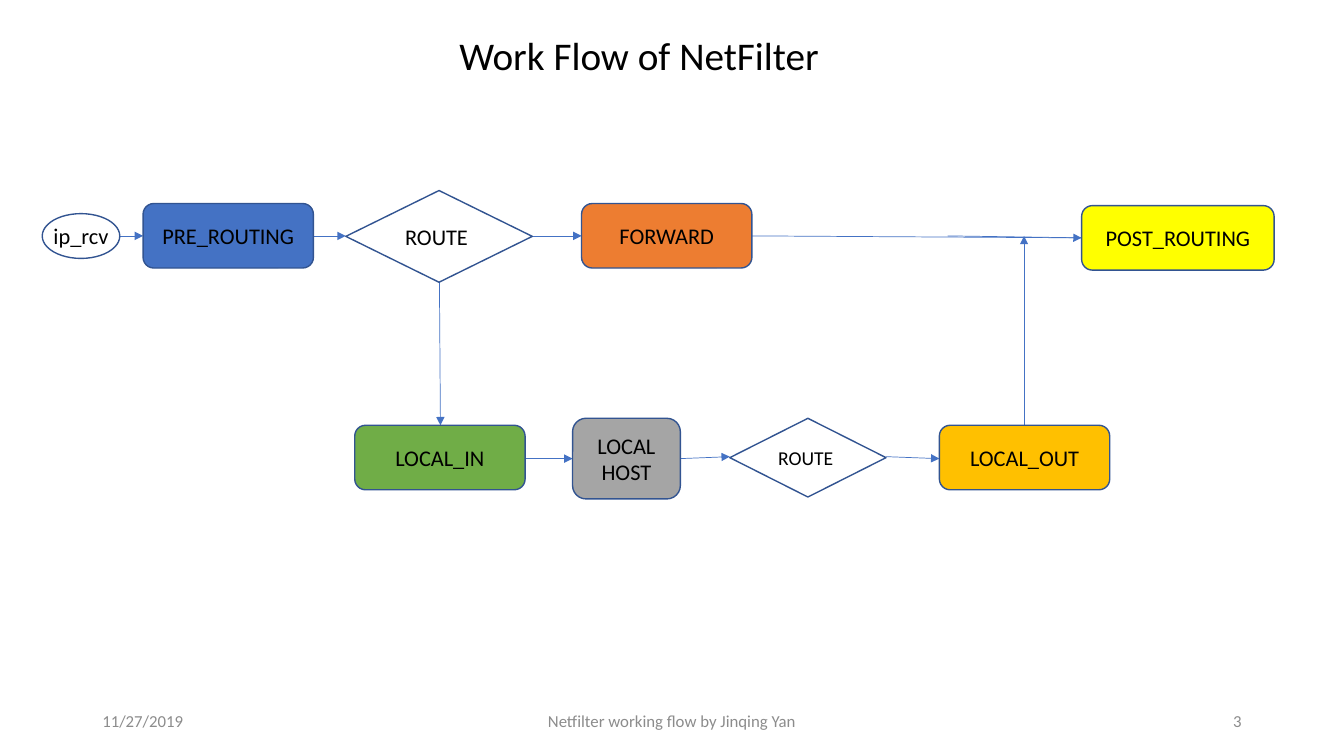
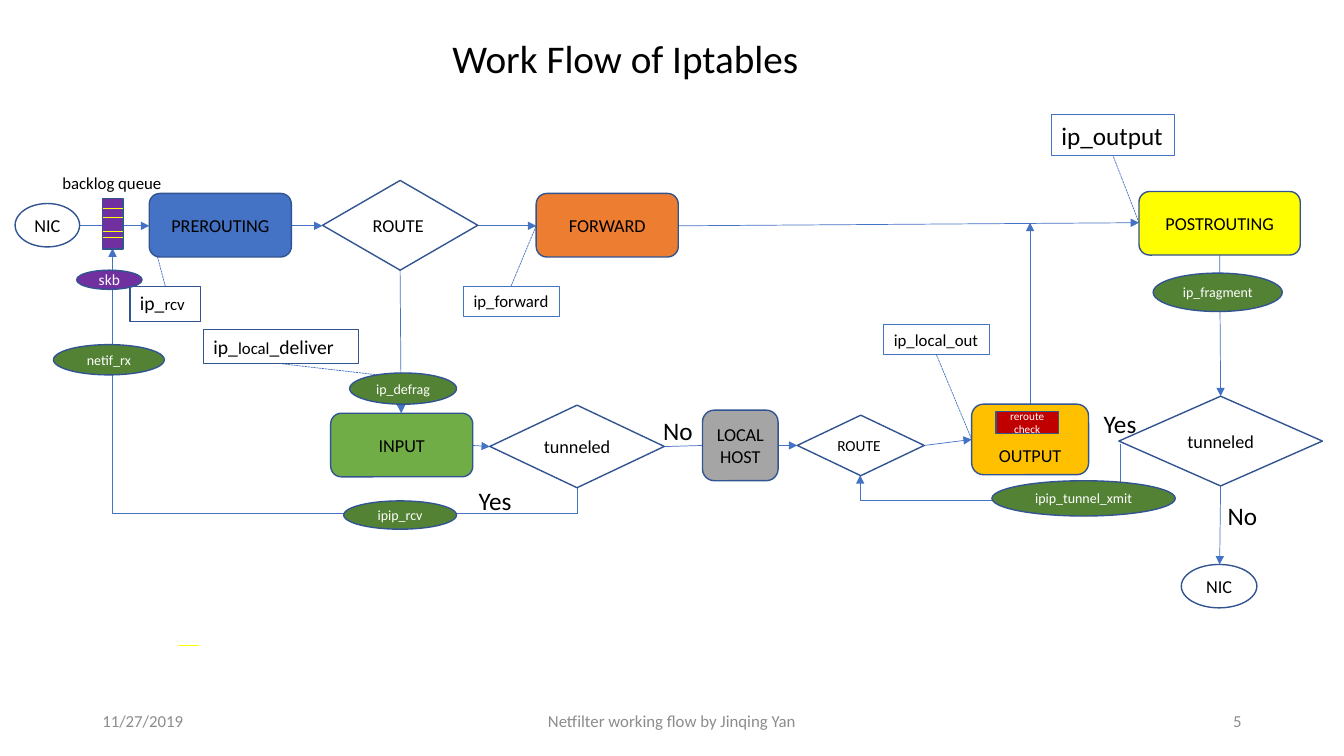
from pptx import Presentation
from pptx.dml.color import RGBColor
from pptx.enum.dml import MSO_LINE
from pptx.enum.shapes import MSO_CONNECTOR as LINK, MSO_SHAPE as FORM
from pptx.enum.text import MSO_ANCHOR as ANCHOR, PP_ALIGN as ALIGN
from pptx.oxml.ns import qn
from pptx.util import Pt
from lxml import etree

BLACK = RGBColor(0x00, 0x00, 0x00)
WHITE = RGBColor(0xFF, 0xFF, 0xFF)
GRAY_TEXT = RGBColor(0x8C, 0x8C, 0x8C)
OUTLINE = RGBColor(0x32, 0x54, 0x91)
BLUE = RGBColor(0x44, 0x72, 0xC4)
GREEN = RGBColor(0x70, 0xAD, 0x47)
ORANGE = RGBColor(0xED, 0x7D, 0x31)
GOLD = RGBColor(0xFF, 0xC0, 0x00)
YELLOW = RGBColor(0xFF, 0xFF, 0x00)
GRAY = RGBColor(0xA5, 0xA5, 0xA5)
DARK_GREEN = RGBColor(0x54, 0x82, 0x35)
PURPLE = RGBColor(0x70, 0x30, 0xA0)
RED = RGBColor(0xC0, 0x00, 0x00)
FONT = "Calibri"


def add_box(page, form, frame, spans, fill=None, color=BLACK, outline=OUTLINE,
            weight=1, align=ALIGN.CENTER, anchor=ANCHOR.MIDDLE, wrap=True):
    """Add a shape, or a text box when form is None; spans are (text, size)."""
    place = [Pt(value) for value in frame]
    if form is None:
        box = page.shapes.add_textbox(*place)
    else:
        box = page.shapes.add_shape(form, *place)
        box.shadow.inherit = False
        box.line.color.rgb = outline
        box.line.width = Pt(weight)
        if fill is None:
            box.fill.background()
        else:
            box.fill.solid()
            box.fill.fore_color.rgb = fill
    box.text_frame.word_wrap = wrap
    box.text_frame.vertical_anchor = anchor
    para = box.text_frame.paragraphs[0]
    para.alignment = align
    for text, size in spans:
        span = para.add_run()
        span.text = text
        span.font.name = FONT
        span.font.size = Pt(size)
        span.font.color.rgb = color


def add_line(page, ends, arrow=True, color=BLUE, dash=None, bend=None):
    """Add a connector; bend turns it into an elbow rotated by 90 degrees."""
    kind = LINK.STRAIGHT if bend is None else LINK.ELBOW
    link = page.shapes.add_connector(kind, *[Pt(value) for value in ends])
    link.line.color.rgb = color
    link.line.width = Pt(0.5)
    if dash:
        link.line.dash_style = dash
    props = link.element.spPr
    if arrow:
        etree.SubElement(props.find(qn("a:ln")), qn("a:tailEnd"), type="triangle")
    etree.SubElement(props, qn("a:effectLst"))
    if bend is not None:
        props.find(qn("a:xfrm")).set("rot", "5400000")
        guides = props.find(qn("a:prstGeom")).find(qn("a:avLst"))
        etree.SubElement(guides, qn("a:gd"), name="adj1", fmla=f"val {bend}")


deck = Presentation()
deck.slide_width, deck.slide_height = Pt(960), Pt(540)

# Title and footer of both slides
pages = []
for title, left, top, number in [("Work Flow of NetFilter", 321.1, 18.7, "3"),
                                 ("Work Flow of Iptables", 316.1, 20.9, "5")]:
    page = deck.slides.add_slide(deck.slide_layouts[6])
    add_box(page, None, (left, top, 520, 41), [(title, 28)],
            align=ALIGN.LEFT, anchor=ANCHOR.TOP)
    for text, foot_left, width, align in [
            ("11/27/2019", 66, 216, ALIGN.LEFT),
            ("Netfilter working flow by Jinqing Yan", 318, 324, ALIGN.CENTER),
            (number, 678, 216, ALIGN.RIGHT)]:
        add_box(page, None, (foot_left, 500.5, width, 28.8), [(text, 12)],
                color=GRAY_TEXT, align=align)
    pages.append(page)
netfilter, iptables = pages

# Netfilter: arrows
for ends in [(85.7, 168.5, 102.2, 168.5), (223.2, 168.5, 247, 168.5),
             (380.2, 168.5, 415.4, 168.5), (536.4, 168.5, 772.6, 169.9),
             (313.9, 201.6, 314.6, 303.8), (375.1, 327.6, 409, 327.6),
             (485.3, 327.6, 521.3, 326.2), (632.9, 326.2, 671, 327.6),
             (731.5, 303.8, 731.5, 168.5)]:
    add_line(netfilter, ends)
add_line(netfilter, (676.8, 168.5, 772.6, 169.9), arrow=False)

# Netfilter: hooks
for text, left, top, width, height, fill in [
        ("PRE_ROUTING", 102.2, 145.4, 121.7, 46.1, BLUE),
        ("FORWARD", 415.4, 145.4, 121.7, 46.1, ORANGE),
        ("POST_ROUTING", 772.6, 146.9, 137.5, 46.1, YELLOW),
        ("LOCAL_IN", 253.4, 303.8, 121.7, 46.1, GREEN),
        ("LOCAL HOST", 409, 298.8, 77, 57.6, GRAY),
        ("LOCAL_OUT", 671, 303.8, 121.7, 46.1, GOLD)]:
    add_box(netfilter, FORM.ROUNDED_RECTANGLE, (left, top, width, height),
            [(text, 16)], fill)

# Netfilter: entry point and routing decisions
for form, text, size, frame in [
        (FORM.OVAL, "ip_rcv", 16, (30.2, 152.6, 55.4, 32)),
        (FORM.DIAMOND, "ROUTE ", 16, (247, 136.1, 133.2, 65.5)),
        (FORM.DIAMOND, "ROUTE ", 14, (521.3, 298.8, 111.6, 56.2))]:
    add_box(netfilter, form, frame, [(text, size)], wrap=False)

# Iptables: arrows, tunnel loops and callout leaders
for ends in [(56.9, 161.3, 106.6, 161.3), (208.1, 161.3, 230.4, 161.3),
             (341.3, 161.3, 383, 161.3), (484.6, 161.3, 813.6, 159.1),
             (285.8, 193, 286.6, 295.2), (337.7, 318.2, 349.9, 319),
             (556, 318.2, 569.5, 318.2), (660.2, 318.2, 694.1, 313.9),
             (735.8, 288.7, 735.8, 159.1), (871.2, 182.2, 871.9, 283),
             (871.9, 347, 871.2, 403.2)]:
    add_line(iptables, ends)
add_line(iptables, (474.5, 319, 501.8, 318.2), arrow=False)
add_line(iptables, (332, 97.2, 160.6, 429.1), bend=-10500)
add_line(iptables, (696.2, 235.4, 718.5, 421.2), bend=180400)
for ends in [(813.6, 159.1, 794.9, 110.9), (668.9, 253.4, 694.1, 313.9),
             (365, 204.5, 383, 161.3), (201.6, 259.9, 283, 269.3),
             (118.1, 204.5, 106.6, 161.3)]:
    add_line(iptables, ends, arrow=False, dash=MSO_LINE.SQUARE_DOT)

# Iptables: chains
for text, left, top, width, height, fill, anchor in [
        ("PREROUTING", 106.6, 138.2, 101.5, 45.4, BLUE, ANCHOR.MIDDLE),
        ("FORWARD", 383, 138.2, 101.5, 45.4, ORANGE, ANCHOR.MIDDLE),
        ("POSTROUTING", 813.6, 136.8, 115.2, 45.4, YELLOW, ANCHOR.MIDDLE),
        ("INPUT", 236.2, 295.2, 101.5, 45.4, GREEN, ANCHOR.MIDDLE),
        ("LOCAL HOST", 501.8, 293, 54, 50.4, GRAY, ANCHOR.MIDDLE),
        ("OUTPUT", 694.1, 288.7, 83.5, 50.4, GOLD, ANCHOR.BOTTOM)]:
    add_box(iptables, FORM.ROUNDED_RECTANGLE, (left, top, width, height),
            [(text, 13)], fill, anchor=anchor)
add_box(iptables, FORM.RECTANGLE, (711.4, 293.8, 44.6, 15.8),
        [("reroute check", 8)], RED, WHITE)

# Iptables: network cards and decisions
for form, text, size, frame in [
        (FORM.OVAL, "NIC", 13, (10.8, 145.4, 46.1, 31)),
        (FORM.OVAL, "NIC", 13, (843.8, 403.2, 54, 31)),
        (FORM.DIAMOND, "ROUTE ", 13, (230.4, 128.9, 110.9, 64.1)),
        (FORM.DIAMOND, "ROUTE ", 11, (569.5, 296.6, 90.7, 43.2)),
        (FORM.DIAMOND, "tunneled", 13, (349.9, 289.4, 124.6, 59)),
        (FORM.DIAMOND, "tunneled", 13, (799.2, 283, 145.4, 64.1))]:
    add_box(iptables, form, frame, [(text, size)], wrap=False)

# Iptables: kernel functions and packet buffer
for text, size, fill, frame in [
        ("ip_fragment", 10, DARK_GREEN, (823.7, 195.1, 92.2, 27.4)),
        ("ip_defrag", 10, DARK_GREEN, (249.8, 266.4, 76.3, 22.3)),
        ("ipip_rcv", 10, DARK_GREEN, (245.5, 357.8, 80.6, 20.2)),
        ("netif_rx", 10, DARK_GREEN, (38.2, 246.2, 79.2, 21.6)),
        ("ipip_tunnel_xmit", 10, DARK_GREEN, (708.5, 343.4, 131, 25.2)),
        ("skb", 11, PURPLE, (54.7, 193, 46.8, 13.7))]:
    add_box(iptables, FORM.OVAL, frame, [(text, size)], fill, WHITE, wrap=False)

# Iptables: callouts
for spans, outline, wrap, frame in [
        ([("ip_output", 18)], BLUE, False, (751, 82.1, 87.8, 28.8)),
        ([("ip_local_out", 12)], BLUE, False, (631.4, 231.8, 75.6, 21.6)),
        ([("ip_forward", 12)], BLUE, False, (331.2, 204.5, 68.4, 21.6)),
        ([("ip_", 14), ("local", 12), ("_deliver", 14)], OUTLINE, True,
         (145.4, 235.4, 110.9, 24.5)),
        ([("ip_", 14), ("rcv", 12)], OUTLINE, True, (92.9, 204.5, 50.4, 25.2))]:
    add_box(iptables, FORM.RECTANGLE, frame, spans, outline=outline, weight=0.75,
            align=ALIGN.LEFT, anchor=ANCHOR.TOP, wrap=wrap)

# Iptables: branch labels
for text, left, top, width in [("Yes", 334.8, 343.4, 38.2), ("Yes", 781.2, 288, 38.2),
                               ("No", 466.6, 293, 36), ("No", 869.8, 353.5, 36)]:
    add_box(iptables, None, (left, top, width, 28.8), [(text, 18)],
            align=ALIGN.LEFT, anchor=ANCHOR.TOP, wrap=False)

# Iptables: backlog queue
add_box(iptables, FORM.RECTANGLE, (73.4, 141.8, 14.4, 36), [], PURPLE)
for left, top in [(73.4, 149), (73.4, 155.5), (73.4, 165.6), (73.4, 169.9),
                  (127.4, 460.8)]:
    add_line(iptables, (left, top, left + 14.4, top), arrow=False, color=YELLOW)
add_box(iptables, None, (37.4, 120.2, 123.8, 21.6), [("backlog queue", 12)],
        align=ALIGN.LEFT, anchor=ANCHOR.TOP)

deck.save("out.pptx")
